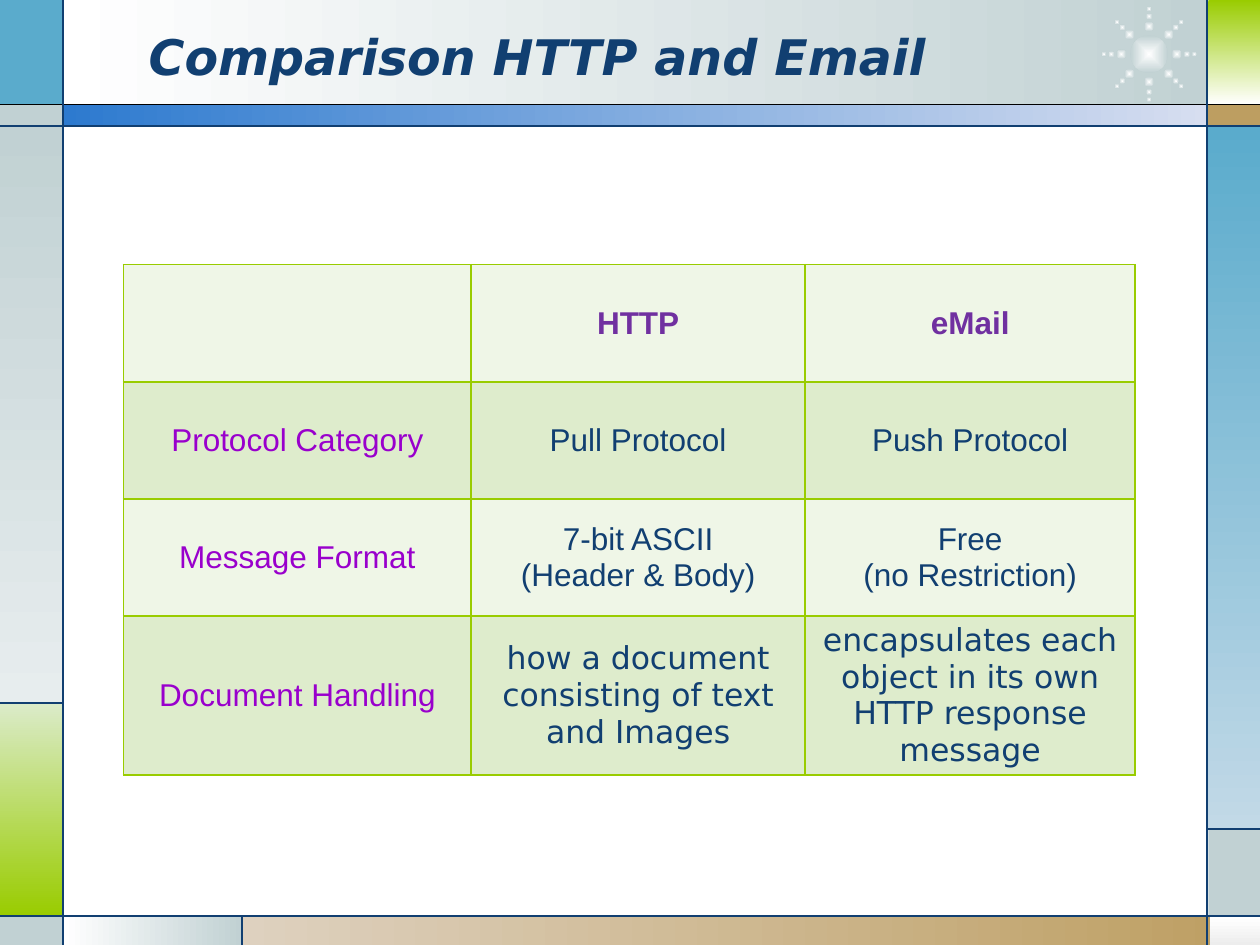
from math import cos, radians, sin
from typing import NamedTuple, Optional

from lxml.etree import SubElement
from pptx import Presentation
from pptx.dml.color import RGBColor
from pptx.enum.shapes import MSO_CONNECTOR as CONNECTOR, MSO_SHAPE as SHAPE
from pptx.enum.text import MSO_ANCHOR as ANCHOR, PP_ALIGN as ALIGN
from pptx.oxml import parse_xml
from pptx.oxml.ns import nsdecls, qn
from pptx.util import Inches, Pt

WHITE = RGBColor(0xFF, 0xFF, 0xFF)
BLACK = RGBColor(0x00, 0x00, 0x00)
NAVY = RGBColor(0x11, 0x3F, 0x71)
SKY = RGBColor(0x5A, 0xAB, 0xCC)
PALE_SKY = RGBColor(0xC2, 0xD9, 0xE7)
GREY = RGBColor(0xC1, 0xD1, 0xD3)
PALE_GREY = RGBColor(0xE7, 0xED, 0xEE)
SILVER = RGBColor(0xED, 0xED, 0xED)
LIME = RGBColor(0x99, 0xCC, 0x00)
PALE_LIME = RGBColor(0xDB, 0xEB, 0xC9)
TAN = RGBColor(0xBD, 0x9E, 0x61)
PALE_TAN = RGBColor(0xDE, 0xD1, 0xBF)
BLUE = RGBColor(0x2D, 0x7A, 0xCF)
PALE_BLUE = RGBColor(0xD7, 0xDE, 0xF0)
PURPLE = RGBColor(0x70, 0x30, 0xA0)
VIOLET = RGBColor(0x99, 0x00, 0xCC)
ROW_FILLS = RGBColor(0xEF, 0xF6, 0xE7), RGBColor(0xDE, 0xEC, 0xCC)

SANS, WIDE = "Arial", "DejaVu Sans"
ACROSS, DOWN = 0, 270  # gradient angles, counter-clockwise


class Panel(NamedTuple):
    left: float
    top: float
    width: float
    height: float
    color: RGBColor
    end_color: Optional[RGBColor] = None
    angle: int = DOWN


class Rule(NamedTuple):
    x1: float
    y1: float
    x2: float
    y2: float
    color: RGBColor = NAVY


PANELS = [
    Panel(0.5, 0, 9.09, 0.83, WHITE, GREY, ACROSS),
    Panel(0, 0, 0.5, 0.83, SKY),
    Panel(0, 0.83, 0.5, 0.17, GREY),
    Panel(0, 1, 0.5, 4.58, GREY, PALE_GREY),
    Panel(0, 5.58, 0.5, 1.69, PALE_LIME, LIME),
    Panel(0, 7.27, 0.5, 0.23, GREY),
    Panel(0.5, 7.27, 1.42, 0.23, WHITE, GREY, ACROSS),
    Panel(1.92, 7.27, 8.08, 0.23, PALE_TAN, TAN, ACROSS),
    Panel(9.6, 7.27, 0.4, 0.23, WHITE, SILVER),
    Panel(9.59, 6.58, 0.41, 0.69, GREY),
    Panel(9.58, 1, 0.42, 5.58, SKY, PALE_SKY),
    Panel(9.58, 0.83, 0.42, 0.17, TAN),
    Panel(9.59, 0, 0.41, 0.83, LIME, WHITE),
    Panel(0.5, 0.83, 9.09, 0.17, BLUE, PALE_BLUE, ACROSS),
]
RULES = [
    Rule(0, 0.83, 10, 0.83, BLACK),
    Rule(0, 1, 10, 1),
    Rule(0, 7.27, 10, 7.27),
    Rule(0.5, 0, 0.5, 7.5),
    Rule(9.58, 0, 9.58, 7.5),
    Rule(0, 5.58, 0.5, 5.58),
    Rule(1.92, 7.27, 1.92, 7.5),
    Rule(9.58, 6.58, 10, 6.58),
]
BURST_CENTER = 9.12, 0.43
BURST_DOTS = [(0.3, 0.05), (0.36, 0.04), (0.22, 0.08)]  # distance, diameter

COLUMN_WIDTHS = [2.76, 2.65, 2.62]
ROW_HEIGHTS = [0.93, 0.93, 0.93, 1.26]
ROWS = [
    ["", "HTTP", "eMail"],
    ["Protocol Category", "Pull Protocol", "Push Protocol"],
    ["Message Format", "7-bit ASCII\n(Header & Body)", "Free\n(no Restriction)"],
    ["Document Handling", "how a document consisting of text and Images",
     "encapsulates each object in its own HTTP response message"],
]


def write(tf, text: str, *, size=18, font=SANS, color=NAVY, bold=False,
          italic=False, align=ALIGN.CENTER) -> None:
    for i, line in enumerate(text.split("\n")):
        p = tf.paragraphs[0] if i == 0 else tf.add_paragraph()
        p.alignment = align
        r = p.add_run()
        r.text = line
        r.font.size, r.font.name, r.font.color.rgb = Pt(size), font, color
        r.font.bold, r.font.italic = bold, italic


def draw_panel(shapes, panel: Panel, kind=SHAPE.RECTANGLE):
    sp = shapes.add_shape(kind, *map(Inches, panel[:4]))
    sp.shadow.inherit = False
    sp.line.fill.background()
    if panel.end_color is None:
        sp.fill.solid()
        sp.fill.fore_color.rgb = panel.color
    else:
        sp.fill.gradient()
        sp.fill.gradient_angle = panel.angle
        for stop, color in zip(sp.fill.gradient_stops, (panel.color, panel.end_color)):
            stop.color.rgb = color
    return sp


def draw_glow(shapes, x: float, y: float, size: float) -> None:
    """Draw a dot centred on x, y that fades outwards from white."""
    dot = Panel(x - size / 2, y - size / 2, size, size, WHITE, GREY)
    sp = draw_panel(shapes, dot, SHAPE.OVAL)
    linear = sp._element.spPr.find(qn("a:gradFill")).find(qn("a:lin"))
    linear.getparent().replace(linear, parse_xml(
        f'<a:path {nsdecls("a")} path="shape">'
        '<a:fillToRect l="50000" t="50000" r="50000" b="50000"/></a:path>'))


def draw_burst(shapes) -> None:
    x, y = BURST_CENTER
    group = shapes.add_group_shape()
    draw_glow(group.shapes, x, y, 0.3)
    for ray in range(8):
        angle = radians(45 * ray)
        for distance, size in BURST_DOTS:
            draw_glow(group.shapes, x + distance * cos(angle),
                      y + distance * sin(angle), size)


def draw_rule(shapes, rule: Rule) -> None:
    line = shapes.add_connector(CONNECTOR.STRAIGHT, *map(Inches, rule[:4]))
    line.line.color.rgb = rule.color
    line.line.width = Pt(0.75)
    SubElement(line._element.spPr, qn("a:effectLst"))


def add_borders(cell, color: RGBColor, width: float) -> None:
    tc_pr = cell._tc.get_or_add_tcPr()
    for side in ("lnL", "lnR", "lnT", "lnB"):
        tc_pr.append(parse_xml(
            f'<a:{side} {nsdecls("a")} w="{Pt(width)}"><a:solidFill>'
            f'<a:srgbClr val="{color}"/></a:solidFill></a:{side}>'))


def draw_table(shapes) -> None:
    table = shapes.add_table(
        len(ROWS), len(COLUMN_WIDTHS), Inches(0.98), Inches(2.1),
        Inches(sum(COLUMN_WIDTHS)), Inches(sum(ROW_HEIGHTS))).table
    for column, width in zip(table.columns, COLUMN_WIDTHS):
        column.width = Inches(width)
    for row, height in zip(table.rows, ROW_HEIGHTS):
        row.height = Inches(height)
    last = len(ROWS) - 1
    for i, texts in enumerate(ROWS):
        for j, text in enumerate(texts):
            cell = table.cell(i, j)
            cell.vertical_anchor = ANCHOR.MIDDLE
            add_borders(cell, LIME, 1)
            cell.fill.solid()
            cell.fill.fore_color.rgb = ROW_FILLS[i % 2]
            if text:
                color = PURPLE if i == 0 else VIOLET if j == 0 else NAVY
                write(cell.text_frame, text, color=color, bold=i == 0,
                      font=WIDE if i == last and j > 0 else SANS)


def place_title(s, text: str) -> None:
    title = s.shapes.title
    title.left, title.top, title.width, title.height = map(
        Inches, (1.08, 0.13, 7.33, 0.62))
    title.text_frame.vertical_anchor = ANCHOR.MIDDLE
    write(title.text_frame, text, size=28, font=WIDE, bold=True, italic=True,
          align=ALIGN.LEFT)
    s.shapes._spTree.append(title._element)  # in front of the header panel


def main() -> None:
    prs = Presentation()
    prs.slide_width, prs.slide_height = Inches(10), Inches(7.5)
    s = prs.slides.add_slide(prs.slide_layouts[5])
    for panel in PANELS:
        draw_panel(s.shapes, panel)
    draw_burst(s.shapes)
    for rule in RULES:
        draw_rule(s.shapes, rule)
    place_title(s, "Comparison HTTP and Email")
    draw_table(s.shapes)
    prs.save("out.pptx")


if __name__ == "__main__":
    main()
